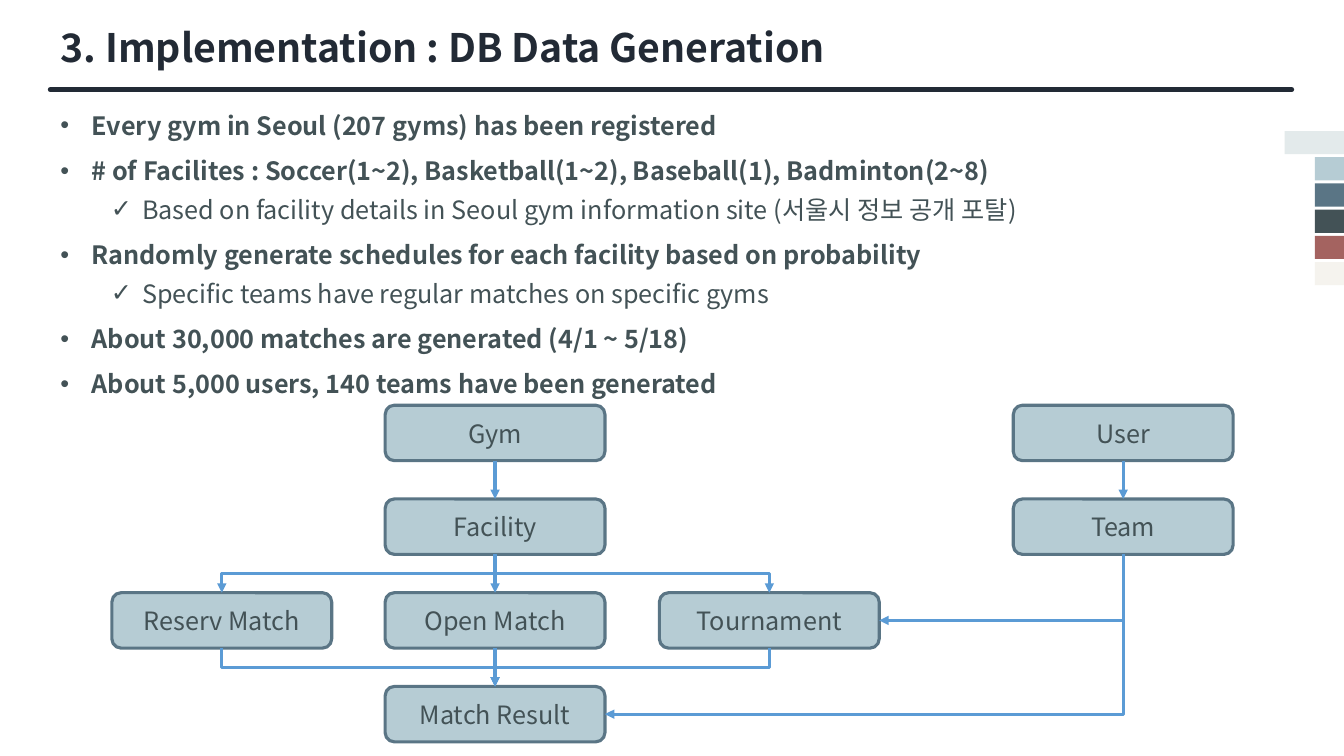
from dataclasses import dataclass

from lxml import etree
from pptx import Presentation
from pptx.dml.color import RGBColor
from pptx.enum.shapes import MSO_CONNECTOR, MSO_SHAPE
from pptx.enum.text import MSO_ANCHOR, MSO_AUTO_SIZE, PP_ALIGN
from pptx.oxml.ns import qn
from pptx.shapes.autoshape import Shape
from pptx.shapes.connector import Connector
from pptx.slide import Slide
from pptx.text.text import _Paragraph
from pptx.util import Inches, Pt

STRAIGHT, ELBOW = MSO_CONNECTOR.STRAIGHT, MSO_CONNECTOR.ELBOW
RECTANGLE, ROUNDED = MSO_SHAPE.RECTANGLE, MSO_SHAPE.ROUNDED_RECTANGLE
TOP, MIDDLE = MSO_ANCHOR.TOP, MSO_ANCHOR.MIDDLE
LEFT, CENTER = PP_ALIGN.LEFT, PP_ALIGN.CENTER
NO_AUTOFIT = MSO_AUTO_SIZE.NONE
TOP_SITE, BOTTOM_SITE, RIGHT_SITE = 0, 2, 3


@dataclass(frozen=True)
class Theme:
    font: str = "Noto Sans CJK KR"
    heading: str = "222A35"
    text: str = "435256"
    entity_fill: str = "B6CCD4"
    entity_border: str = "5A7585"
    arrow: str = "5B9BD5"
    palette: tuple[str, ...] = ("E3EAEB", "B6CCD4", "5A7585", "435256", "A46360", "F5F3EE")
    title_size: float = 28
    text_size: float = 18
    rule_width: float = 3.75
    line_width: float = 2.25


@dataclass(frozen=True)
class Point:
    text: str
    detail: bool = False


@dataclass(frozen=True)
class Entity:
    name: str
    left: float
    row: int


@dataclass(frozen=True)
class Relation:
    source: str
    target: str
    bends: int = 0


THEME = Theme()
POINTS = (
    Point("Every gym in Seoul (207 gyms) has been registered"),
    Point("# of Facilites : Soccer(1~2), Basketball(1~2), Baseball(1), Badminton(2~8)"),
    Point("Based on facility details in Seoul gym information site (서울시 정보 공개 포탈)", True),
    Point("Randomly generate schedules for each facility based on probability"),
    Point("Specific teams have regular matches on specific gyms", True),
    Point("About 30,000 matches are generated (4/1 ~ 5/18)"),
    Point("About 5,000 users, 140 teams have been generated"),
)
ENTITIES = (
    Entity("Gym", 3.82, 0),
    Entity("Facility", 3.82, 1),
    Entity("Open Match", 3.82, 2),
    Entity("Reserv Match", 1.11, 2),
    Entity("Tournament", 6.54, 2),
    Entity("Match Result", 3.82, 3),
    Entity("User", 10.05, 0),
    Entity("Team", 10.05, 1),
)
RELATIONS = (
    Relation("Gym", "Facility"),
    Relation("Facility", "Open Match"),
    Relation("Facility", "Reserv Match", 2),
    Relation("Facility", "Tournament", 2),
    Relation("Reserv Match", "Match Result", 2),
    Relation("Tournament", "Match Result", 2),
    Relation("Open Match", "Match Result"),
    Relation("User", "Team"),
    Relation("Team", "Tournament", 1),
    Relation("Team", "Match Result", 1),
)


def place(shape: Shape, left: float, top: float, width: float, height: float) -> None:
    shape.left, shape.top = Inches(left), Inches(top)
    shape.width, shape.height = Inches(width), Inches(height)


def style_text(paragraph: _Paragraph, size: float, color: str, bold: bool = False) -> None:
    font = paragraph.font
    font.size, font.bold, font.name = Pt(size), bold, THEME.font
    font.color.rgb = RGBColor.from_string(color)
    etree.SubElement(font._element, qn("a:ea"), typeface=THEME.font)


def style_line(connector: Connector, color: str, width: float) -> None:
    connector.line.color.rgb = RGBColor.from_string(color)
    connector.line.width = Pt(width)
    etree.SubElement(connector._element.spPr, qn("a:effectLst"))


def add_bullet(paragraph: _Paragraph, symbol: str, margin: float) -> None:
    properties = paragraph._p.get_or_add_pPr()
    properties.set("marL", str(Inches(margin)))
    properties.set("indent", str(Inches(-0.31)))
    bullet = etree.Element(qn("a:buChar"), char=symbol)
    properties.find(qn("a:defRPr")).addprevious(bullet)


def add_heading(slide: Slide) -> None:
    rule = slide.shapes.add_connector(STRAIGHT, Inches(0.5), Inches(0.89), Inches(12.81), Inches(0.89))
    style_line(rule, THEME.heading, THEME.rule_width)
    rule.line._get_or_add_ln().set("cap", "rnd")
    title = slide.shapes.title
    place(title, 0.5, 0.18, 11.88, 0.57)
    title.text_frame.text = "3. Implementation : DB Data Generation"
    title.text_frame.vertical_anchor = TOP
    title.text_frame.auto_size = NO_AUTOFIT
    heading = title.text_frame.paragraphs[0]
    heading.alignment = LEFT
    style_text(heading, THEME.title_size, THEME.heading, True)


def add_points(slide: Slide) -> None:
    body = slide.placeholders[1]
    place(body, 0.5, 0.89, 12.31, 3.09)
    frame = body.text_frame
    frame.auto_size = NO_AUTOFIT
    frame.text = "\n".join(point.text for point in POINTS)
    for point, paragraph in zip(POINTS, frame.paragraphs):
        paragraph.level = int(point.detail)
        paragraph.line_spacing = 1.0 if point.detail else 1.5
        paragraph.space_before = Pt(6 if point.detail else 0)
        style_text(paragraph, THEME.text_size, THEME.text, not point.detail)
        add_bullet(paragraph, "✓" if point.detail else "•", 0.81 if point.detail else 0.31)


def add_palette(slide: Slide) -> None:
    for index, color in enumerate(THEME.palette):
        left = 13.04 if index else 12.74
        swatch = slide.shapes.add_shape(
            RECTANGLE, Inches(left), Inches(1.3 + 0.26 * index), Inches(13.33 - left), Inches(0.23))
        swatch.shadow.inherit = False
        swatch.fill.solid()
        swatch.fill.fore_color.rgb = RGBColor.from_string(color)
        swatch.line.fill.background()


def add_entity(slide: Slide, entity: Entity) -> Shape:
    box = slide.shapes.add_shape(
        ROUNDED, Inches(entity.left), Inches(4.02 + 0.93 * entity.row), Inches(2.18), Inches(0.55))
    box.shadow.inherit = False
    box.fill.solid()
    box.fill.fore_color.rgb = RGBColor.from_string(THEME.entity_fill)
    box.line.color.rgb = RGBColor.from_string(THEME.entity_border)
    box.line.width = Pt(THEME.line_width)
    box.text_frame.text = entity.name
    box.text_frame.vertical_anchor = MIDDLE
    label = box.text_frame.paragraphs[0]
    label.alignment = CENTER
    style_text(label, THEME.text_size, THEME.text)
    return box


def bend_downward(arrow: Connector, bends: int) -> None:
    start_x, start_y, end_x, end_y = arrow.begin_x, arrow.begin_y, arrow.end_x, arrow.end_y
    run, drop = abs(end_x - start_x), abs(end_y - start_y)
    arrow.left, arrow.top = (start_x + end_x - drop) // 2, (start_y + end_y - run) // 2
    arrow.width, arrow.height = drop, run
    properties = arrow._element.spPr
    frame = properties.find(qn("a:xfrm"))
    rightward = end_x > start_x
    frame.set("rot", str((270 if rightward else 90) * 60000))
    frame.set("flipH", str(int(rightward)))
    frame.set("flipV", "0")
    properties.find(qn("a:prstGeom")).set("prst", f"bentConnector{bends + 1}")


def add_relation(slide: Slide, relation: Relation, boxes: dict[str, Shape]) -> None:
    arrow = slide.shapes.add_connector(ELBOW if relation.bends else STRAIGHT, 0, 0, 0, 0)
    arrow.begin_connect(boxes[relation.source], BOTTOM_SITE)
    arrow.end_connect(boxes[relation.target], RIGHT_SITE if relation.bends == 1 else TOP_SITE)
    if relation.bends:
        bend_downward(arrow, relation.bends)
    style_line(arrow, THEME.arrow, THEME.line_width)
    etree.SubElement(arrow.line._get_or_add_ln(), qn("a:tailEnd"), type="triangle")


def main() -> None:
    deck = Presentation()
    deck.slide_width, deck.slide_height = Inches(13.33), Inches(7.5)
    slide = deck.slides.add_slide(deck.slide_layouts[1])
    add_heading(slide)
    add_points(slide)
    add_palette(slide)
    boxes = {entity.name: add_entity(slide, entity) for entity in ENTITIES}
    for relation in RELATIONS:
        add_relation(slide, relation, boxes)
    deck.save("out.pptx")


if __name__ == "__main__":
    main()
